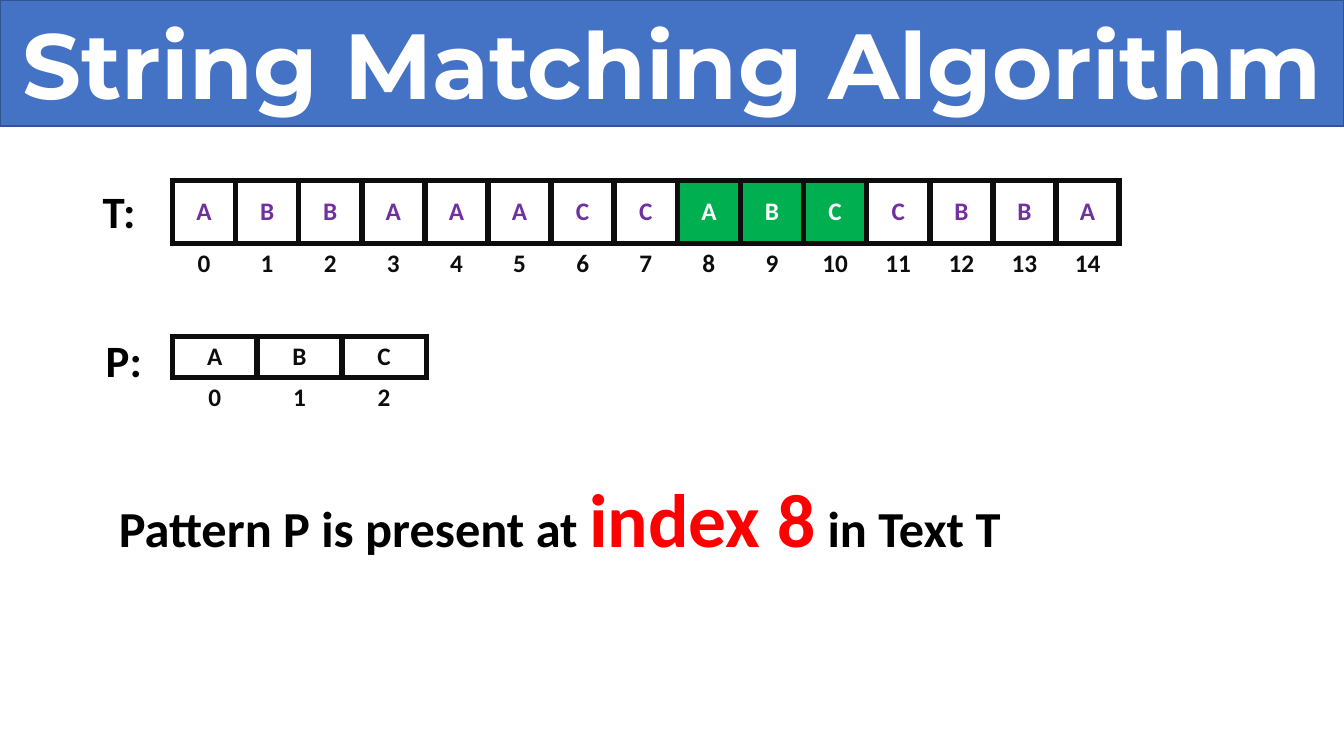
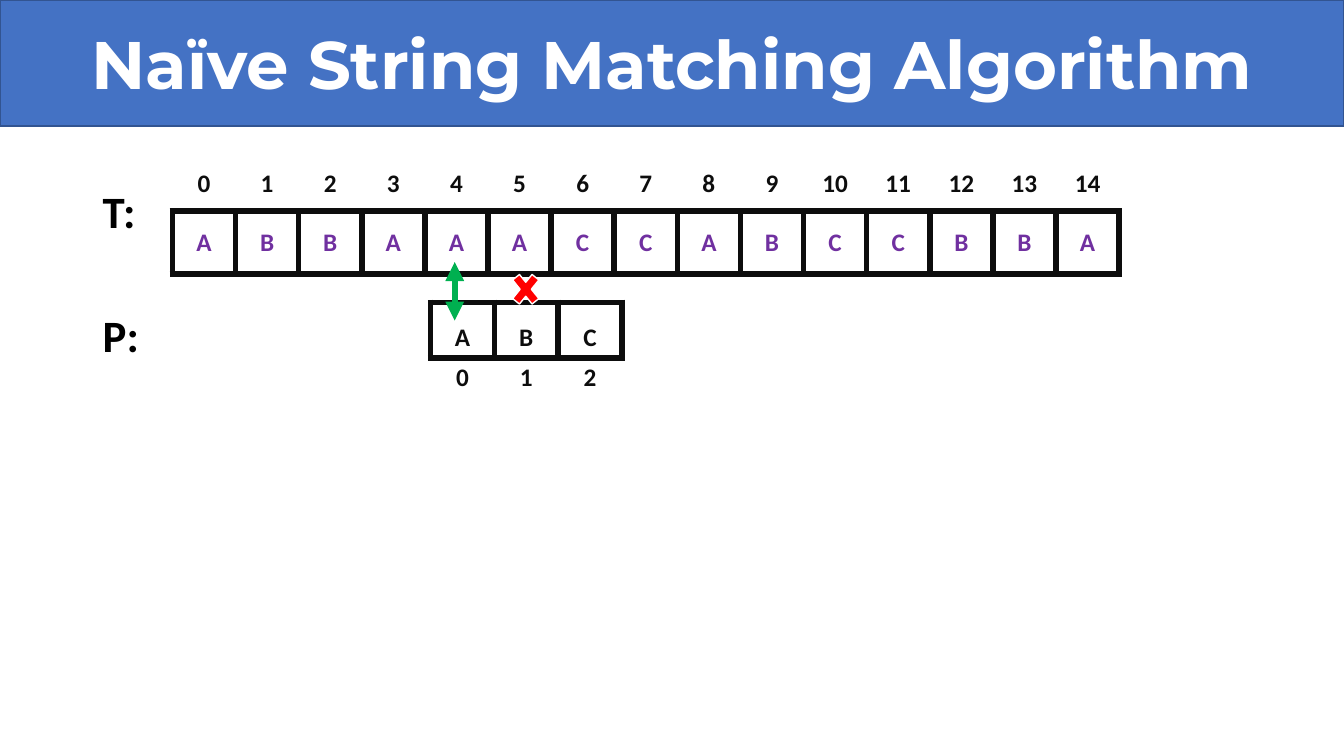
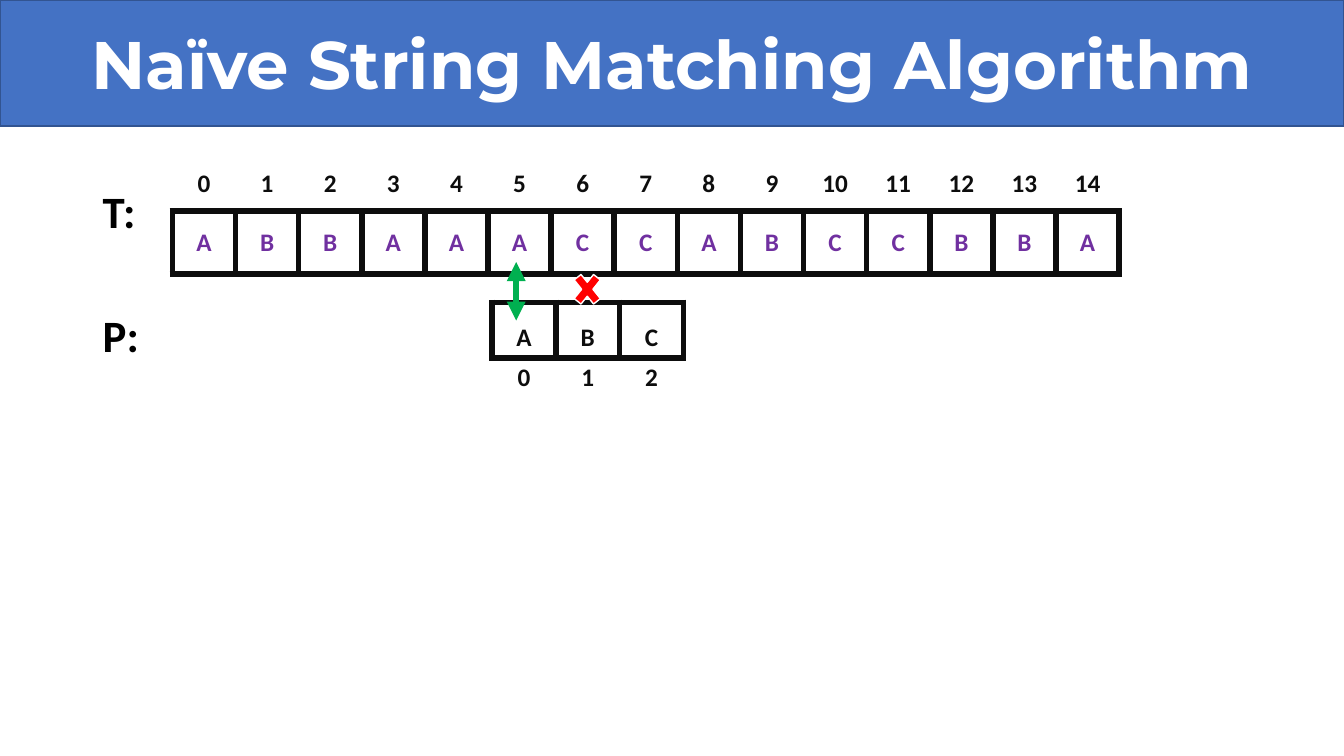
from lxml import etree
from pptx import Presentation
from pptx import util as u
from pptx.dml.color import RGBColor
from pptx.enum import shapes, text
from pptx.oxml import ns

WHITE, BLACK, INK = "FFFFFF", "000000", "0D0D0D"
BLUE, NAVY, PURPLE = "4472C4", "325491", "7030A0"
GREEN, RED = "00B050", "FF0000"
TEXT_T = "ABBAAACCABCCBBA"
PATTERN = "ABC"
TITLE_ONLY = 5
RULE = u.Pt(4.5)
ROW_LEFT, ROW_WIDTH = 1.71, 9.39


def rgb(color):
    return RGBColor.from_string(color)


def style(run, size, color, name="Calibri"):
    run.font.name = name
    run.font.size = u.Pt(size)
    run.font.bold = True
    run.font.color.rgb = rgb(color)


def paint(shape, fill, line):
    shape.shadow.inherit = False
    shape.fill.solid()
    shape.fill.fore_color.rgb = rgb(fill)
    shape.line.color.rgb = rgb(line)
    shape.line.width = u.Pt(1)


def add_titled_slide(prs, title, size):
    s = prs.slides.add_slide(prs.slide_layouts[TITLE_ONLY])
    band = s.shapes.title
    band.left, band.top = 0, 0
    band.width, band.height = prs.slide_width, u.Inches(1.25)
    band.fill.solid()
    band.fill.fore_color.rgb = rgb(BLUE)
    band.line.color.rgb = rgb(NAVY)
    band.line.width = u.Pt(1)
    tf = band.text_frame
    tf.text = title
    tf.word_wrap = True
    tf.auto_size = text.MSO_AUTO_SIZE.NONE
    tf.vertical_anchor = text.MSO_ANCHOR.MIDDLE
    p = tf.paragraphs[0]
    p.alignment = text.PP_ALIGN.CENTER
    style(p.runs[0], size, WHITE, "Montserrat")
    return s


def add_text(s, left, top, width, height, parts):
    box = s.shapes.add_textbox(*map(u.Inches, (left, top, width, height)))
    tf = box.text_frame
    tf.word_wrap = True
    tf.auto_size = text.MSO_AUTO_SIZE.SHAPE_TO_FIT_TEXT
    p = tf.paragraphs[0]
    for words, size, color in parts:
        r = p.add_run()
        r.text = words
        style(r, size, color)


def add_label(s, left, top, words):
    add_text(s, left, top, 0.98, 0.64, [(words, 32, BLACK)])


def set_borders(cell, ruled_sides):
    tc_pr = cell._tc.get_or_add_tcPr()
    for i, side in enumerate("LRTB"):
        ln = etree.Element(ns.qn(f"a:ln{side}"), w=str(RULE))
        if side in ruled_sides:
            fill = etree.SubElement(ln, ns.qn("a:solidFill"))
            etree.SubElement(fill, ns.qn("a:srgbClr"), val=INK)
        else:
            etree.SubElement(ln, ns.qn("a:noFill"))
        tc_pr.insert(i, ln)


def fill_cell(cell, words, color, fill, sides, spacing, middle):
    cell.text = words
    cell.fill.solid()
    cell.fill.fore_color.rgb = rgb(fill)
    set_borders(cell, sides)
    if middle:
        cell.vertical_anchor = text.MSO_ANCHOR.MIDDLE
    p = cell.text_frame.paragraphs[0]
    p.alignment = text.PP_ALIGN.CENTER
    if spacing:
        p.line_spacing = spacing
    style(p.runs[0], 18, color)


def add_array(s, left, top, width, height, letters, color=INK, matched=(),
              index_above=False, middle=False, top_spacing=None):
    frame = s.shapes.add_table(2, len(letters), *map(u.Inches, (left, top, width, height)))
    table = frame.table
    table.first_row = table.horz_banding = False
    for column in table.columns:
        column.width = u.Inches(width / len(letters))
    letter_row = 1 if index_above else 0
    spacings = (top_spacing, None)
    for i, letter in enumerate(letters):
        hit = i in matched
        fill_cell(table.cell(letter_row, i), letter, WHITE if hit else color,
                  GREEN if hit else WHITE, "LRTB", spacings[letter_row], middle)
        fill_cell(table.cell(1 - letter_row, i), str(i), INK, WHITE,
                  "B" if index_above else "T", spacings[1 - letter_row], False)


def add_match_arrow(s, x, top, bottom):
    arrow = s.shapes.add_connector(shapes.MSO_CONNECTOR.STRAIGHT,
                                   *map(u.Inches, (x, top, x, bottom)))
    arrow.line.color.rgb = rgb(GREEN)
    arrow.line.width = RULE
    ln = arrow.line._get_or_add_ln()
    for end in ("headEnd", "tailEnd"):
        etree.SubElement(ln, ns.qn(f"a:{end}"), type="triangle")
    etree.SubElement(arrow._element.spPr, ns.qn("a:effectLst"))


def add_mismatch_cross(s, left, top):
    cross = s.shapes.add_shape(shapes.MSO_SHAPE.MATH_MULTIPLY,
                               *map(u.Inches, (left, top, 0.37, 0.46)))
    paint(cross, RED, WHITE)


def add_problem_slide(prs):
    s = add_titled_slide(prs, "String Matching Algorithm", 66)
    found = TEXT_T.index(PATTERN)
    add_array(s, ROW_LEFT, 1.79, ROW_WIDTH, 1.25, TEXT_T, PURPLE,
              range(found, found + len(PATTERN)), middle=True)
    add_label(s, 0.92, 1.77, "T:")
    add_array(s, ROW_LEFT, 3.34, 2.52, 0.81, PATTERN)
    add_label(s, 0.95, 3.25, "P:")
    add_text(s, 1.08, 4.63, 11.63, 1.01, [
        ("Pattern P is present at ", 36, BLACK),
        (f"index {found}", 54, RED),
        (" in Text T", 36, BLACK),
    ])


def add_step_slide(prs, pattern_left):
    s = add_titled_slide(prs, "Naïve String Matching Algorithm", 48)
    add_label(s, 0.92, 1.77, "T:")
    add_array(s, pattern_left, 3, 1.9, 1.05, PATTERN, top_spacing=1.5)
    add_label(s, 0.92, 3, "P:")
    add_array(s, ROW_LEFT, 1.47, ROW_WIDTH, 1.25, TEXT_T, PURPLE,
              index_above=True, middle=True, top_spacing=1.5)
    add_match_arrow(s, pattern_left + 0.24, 2.6, 3.18)
    add_mismatch_cross(s, pattern_left + 0.76, 2.64)


def main():
    prs = Presentation()
    prs.slide_width, prs.slide_height = u.Inches(13.33), u.Inches(7.5)
    add_problem_slide(prs)
    for pattern_left in (4.27, 4.88):
        add_step_slide(prs, pattern_left)
    prs.save("out.pptx")


if __name__ == "__main__":
    main()
